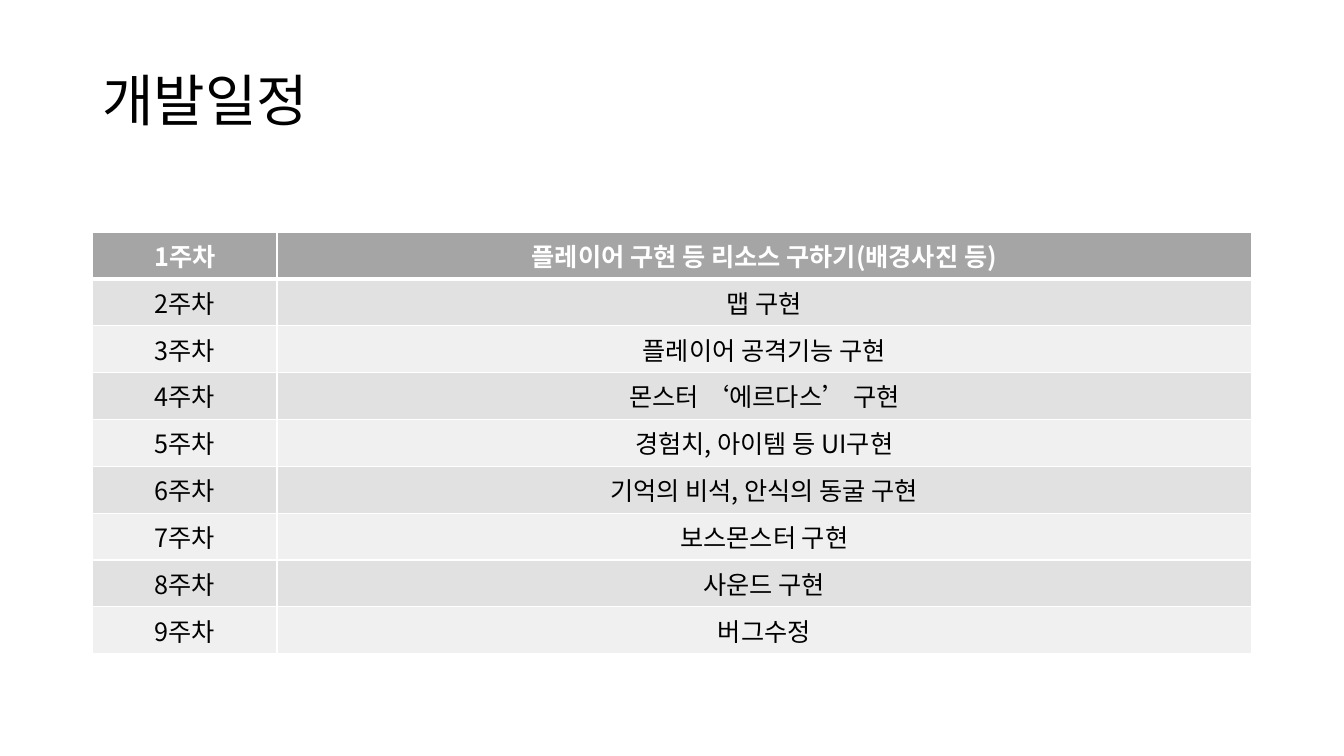
from lxml.etree import SubElement
from pptx import Presentation
from pptx.dml.color import RGBColor
from pptx.enum.text import MSO_ANCHOR as Anchor, PP_ALIGN as Align
from pptx.oxml.ns import qn
from pptx.util import Cm, Pt

FONT = "Noto Sans CJK KR"
WHITE, BLACK = "FFFFFF", "000000"
HEADER_FILL, ROW_FILLS = "A5A5A5", ("F0F0F0", "E1E1E1")
LEFT, WIDTH = Cm(2.33), Cm(29.21)
WEEK_WIDTH, TASK_WIDTH, ROW_HEIGHT = Cm(4.65), Cm(24.56), Cm(1.18)

TASKS = [
    "플레이어 구현 등 리소스 구하기(배경사진 등)",
    "맵 구현",
    "플레이어 공격기능 구현",
    "몬스터 ‘에르다스’ 구현",
    "경험치, 아이템 등 UI구현",
    "기억의 비석, 안식의 동굴 구현",
    "보스몬스터 구현",
    "사운드 구현",
    "버그수정",
]


def color(hex_code):
    return RGBColor.from_string(hex_code)


def write(frame, text, size=18, ink=BLACK, bold=False, align=Align.LEFT, spacing=1.0):
    line = frame.paragraphs[0]
    line.alignment, line.line_spacing = align, spacing
    run = line.add_run()
    run.text = text
    run.font.name, run.font.size, run.font.bold = FONT, Pt(size), bold
    run.font.color.rgb = color(ink)


def set_borders(cell, **widths):
    props = cell._tc.get_or_add_tcPr()
    for index, (side, width) in enumerate(widths.items()):
        border = SubElement(props, qn(f"a:ln{side}"), w=str(Pt(width)))
        paint = SubElement(border, qn("a:solidFill"))
        SubElement(paint, qn("a:srgbClr"), val=WHITE)
        props.insert(index, border)  # borders come before the fill


def add_title(slide, text):
    title = slide.shapes.add_textbox(LEFT, Cm(1.33), WIDTH, Cm(2.54))
    title.text_frame.word_wrap = True
    title.text_frame.vertical_anchor = Anchor.MIDDLE
    write(title.text_frame, text, size=40, spacing=0.9)


def add_schedule(slide, tasks):
    schedule = slide.shapes.add_table(
        len(tasks), 2, LEFT, Cm(5.85), WIDTH, ROW_HEIGHT * len(tasks)).table
    schedule.columns[0].width, schedule.columns[1].width = WEEK_WIDTH, TASK_WIDTH
    for index, task in enumerate(tasks):
        header = index == 0
        for column, text in enumerate((f"{index + 1}주차", task)):
            cell = schedule.cell(index, column)
            cell.fill.solid()
            cell.fill.fore_color.rgb = color(HEADER_FILL if header else ROW_FILLS[index % 2])
            set_borders(cell, L=1, R=1, T=3 if index == 1 else 1, B=3 if header else 1)
            write(cell.text_frame, text, ink=WHITE if header else BLACK,
                  bold=header, align=Align.CENTER)


def main():
    deck = Presentation()
    deck.slide_width, deck.slide_height = Cm(33.87), Cm(19.05)
    slide = deck.slides.add_slide(deck.slide_layouts[6])
    # Heading
    add_title(slide, "개발일정")
    # Weekly plan
    add_schedule(slide, TASKS)
    deck.save("out.pptx")


if __name__ == "__main__":
    main()
